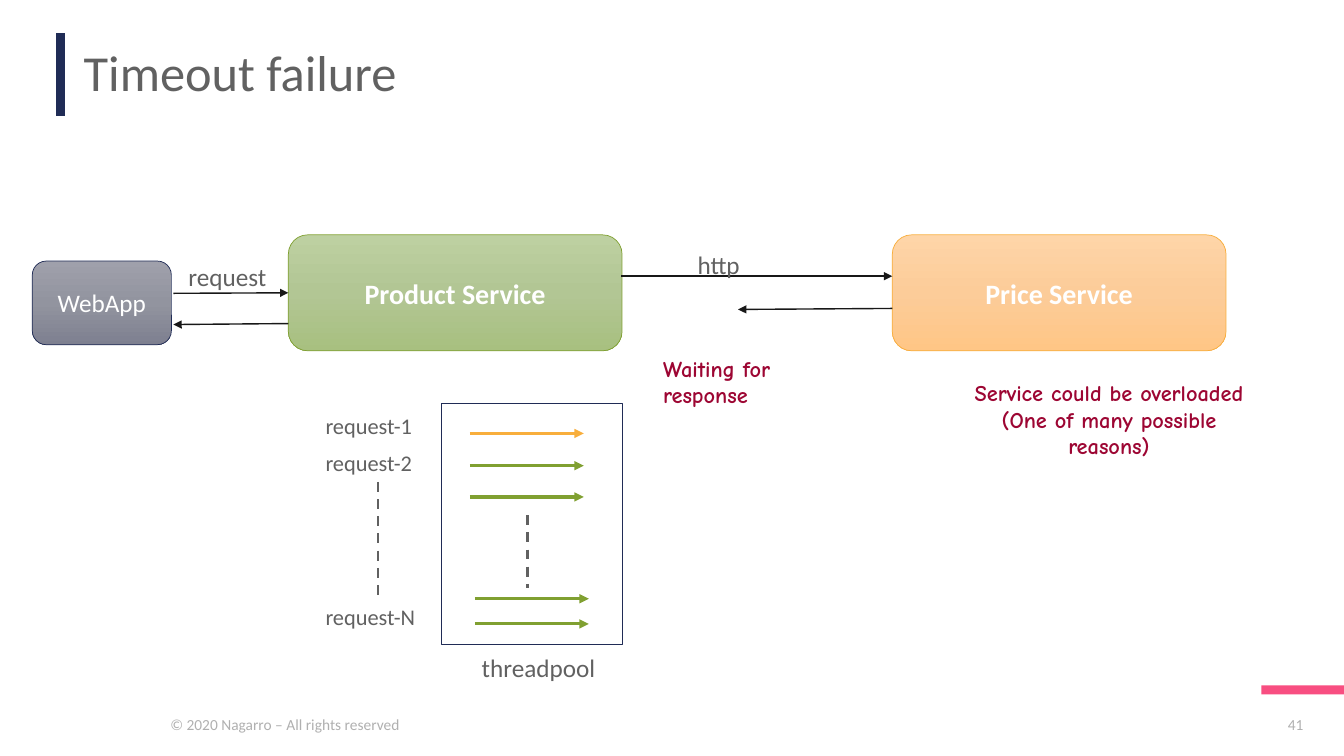
from copy import deepcopy
from dataclasses import dataclass

from pptx import Presentation
from pptx.dml.color import RGBColor
from pptx.enum.dml import MSO_LINE
from pptx.enum.shapes import MSO_CONNECTOR, MSO_SHAPE
from pptx.enum.text import MSO_ANCHOR, PP_ALIGN
from pptx.oxml.ns import qn
from pptx.util import Inches, Pt
from lxml.etree import SubElement


@dataclass(frozen=True)
class Theme:
    font: str = "Calibri"
    note_font: str = "Comic Neue"
    text: str = "616161"
    footer: str = "B0B0B0"
    note: str = "9D0633"
    white: str = "FFFFFF"
    black: str = "181818"
    navy: str = "202C56"
    pink: str = "F84E81"
    green: str = "80A031"
    orange: str = "F8AE3C"
    green_fill: tuple = ("BDD0A1", "B2C694", "A8C080")
    orange_fill: tuple = ("FED5A8", "FCCC99", "FFC686")
    grey_fill: tuple = ("9FA0AB", "92949F", "7E8090")
    title_size: int = 36
    service_size: int = 20
    label_size: int = 18
    small_size: int = 16
    footer_size: int = 11


theme = Theme()


def write(shape, text, size, color, font=theme.font, bold=False, align=PP_ALIGN.LEFT):
    """Fill the shape with one paragraph per line, all in the same format."""
    shape.text_frame.text = text
    for paragraph in shape.text_frame.paragraphs:
        paragraph.alignment = align
        paragraph.font.name = font
        paragraph.font.size = Pt(size)
        paragraph.font.bold = bold
        paragraph.font.color.rgb = RGBColor.from_string(color)


def add_line(start, end, color, width, arrow=True, dashed=False):
    line = slide.shapes.add_connector(
        MSO_CONNECTOR.STRAIGHT, *(Inches(value) for value in (*start, *end)))
    line.line.color.rgb = RGBColor.from_string(color)
    line.line.width = Pt(width)
    if dashed:
        line.line.dash_style = MSO_LINE.DASH
    if arrow:
        SubElement(line.line._get_or_add_ln(), qn("a:tailEnd"), type="triangle")
    SubElement(line._element.spPr, qn("a:effectLst"))
    return line


presentation = Presentation()
presentation.slide_width = Inches(13.33)
presentation.slide_height = Inches(7.5)
slide = presentation.slides.add_slide(presentation.slide_layouts[5])

# Title and its bar
title = slide.shapes.title
title.left, title.top = Inches(0.73), Inches(0.42)
title.width, title.height = Inches(11.36), Inches(0.65)
write(title, "Timeout failure", theme.title_size, theme.text)
title.text_frame.vertical_anchor = MSO_ANCHOR.MIDDLE
title.text_frame.paragraphs[0].line_spacing = 0.9
add_line((0.6, 0.33), (0.6, 1.15), theme.navy, 6, arrow=False)

# Footer accent
accent = slide.shapes.add_shape(
    MSO_SHAPE.RECTANGLE, Inches(12.51), Inches(6.8), Inches(0.82), Inches(0.09))
accent.shadow.inherit = False
accent.fill.solid()
accent.fill.fore_color.rgb = RGBColor.from_string(theme.pink)
accent.line.fill.background()

# Services
services = {}
for name, left, top, width, height, colors, outline, size, bold in (
    ("WebApp", 0.32, 2.59, 1.38, 0.83, theme.grey_fill, theme.navy, theme.label_size, False),
    ("Product Service", 2.86, 2.33, 3.31, 1.15, theme.green_fill, theme.green,
     theme.service_size, True),
    ("Price Service", 8.85, 2.33, 3.31, 1.15, theme.orange_fill, theme.orange,
     theme.service_size, True),
):
    box = slide.shapes.add_shape(
        MSO_SHAPE.ROUNDED_RECTANGLE, Inches(left), Inches(top), Inches(width), Inches(height))
    box.shadow.inherit = False
    box.fill.gradient()
    box.fill.gradient_angle = 270
    stop_list = box._element.spPr.find(qn("a:gradFill")).find(qn("a:gsLst"))
    stop_list.insert(1, deepcopy(stop_list[0]))
    for stop, color, position in zip(box.fill.gradient_stops, colors, (0, 0.5, 1)):
        stop.color.rgb = RGBColor.from_string(color)
        stop.position = position
    box.line.color.rgb = RGBColor.from_string(outline)
    box.line.width = Pt(0.5)
    write(box, name, size, theme.white, bold=bold, align=PP_ALIGN.CENTER)
    box.text_frame.vertical_anchor = MSO_ANCHOR.MIDDLE
    services[name] = box

# Calls between services
request_arrow = add_line((1.72, 2.91), (2.86, 2.91), theme.black, 1)
request_arrow.end_connect(services["Product Service"], 1)
for start, end in (
    ((2.86, 3.21), (1.72, 3.22)),
    ((6.16, 2.74), (8.85, 2.74)),
    ((8.85, 3.06), (7.32, 3.07)),
):
    add_line(start, end, theme.black, 1)

# Thread pool
pool = slide.shapes.add_shape(
    MSO_SHAPE.RECTANGLE, Inches(4.38), Inches(4), Inches(1.79), Inches(2.39))
pool.shadow.inherit = False
pool.fill.background()
pool.line.color.rgb = RGBColor.from_string(theme.navy)
pool.line.width = Pt(0.75)
for left, top, color in (
    (4.66, 4.3, theme.orange),
    (4.66, 4.62, theme.green),
    (4.66, 4.93, theme.green),
    (4.71, 5.94, theme.green),
    (4.71, 6.19, theme.green),
):
    add_line((left, top), (left + 1.13, top), color, 2.25)
for x, top, bottom in ((5.23, 5.11, 5.83), (3.75, 4.78, 5.93)):
    add_line((x, top), (x, bottom), theme.text, 1.75, arrow=False, dashed=True)

# Labels
for text, left, top, width, height, size, color in (
    ("request", 1.77, 2.54, 0.98, 0.4, theme.label_size, theme.text),
    ("http", 6.82, 2.42, 0.63, 0.4, theme.label_size, theme.text),
    ("threadpool", 4.68, 6.42, 1.34, 0.4, theme.label_size, theme.text),
    ("request-1", 3.13, 4.04, 1.25, 0.37, theme.small_size, theme.text),
    ("request-2", 3.13, 4.41, 1.25, 0.37, theme.small_size, theme.text),
    ("request-N", 3.13, 5.93, 1.25, 0.37, theme.small_size, theme.text),
    ("© 2020 Nagarro – All rights reserved", 1.59, 7.04, 2.48, 0.29,
     theme.footer_size, theme.footer),
):
    label = slide.shapes.add_textbox(Inches(left), Inches(top), Inches(width), Inches(height))
    label.text_frame.word_wrap = False
    write(label, text, size, color)

page_number = slide.shapes.add_textbox(Inches(12.52), Inches(7.04), Inches(0.66), Inches(0.29))
page_number.text_frame.word_wrap = True
write(page_number, "41", theme.footer_size, theme.footer, align=PP_ALIGN.CENTER)

# Notes on the failure
for text, left, top, width, height, align in (
    ("Waiting for response", 6.48, 3.47, 2.1, 0.64, PP_ALIGN.LEFT),
    ("Service could be overloaded\n(One of many possible reasons)", 9.45, 3.71, 3.1, 0.9,
     PP_ALIGN.CENTER),
):
    note = slide.shapes.add_textbox(Inches(left), Inches(top), Inches(width), Inches(height))
    note.text_frame.word_wrap = True
    write(note, text, theme.small_size, theme.note, theme.note_font, True, align)

presentation.save("out.pptx")
